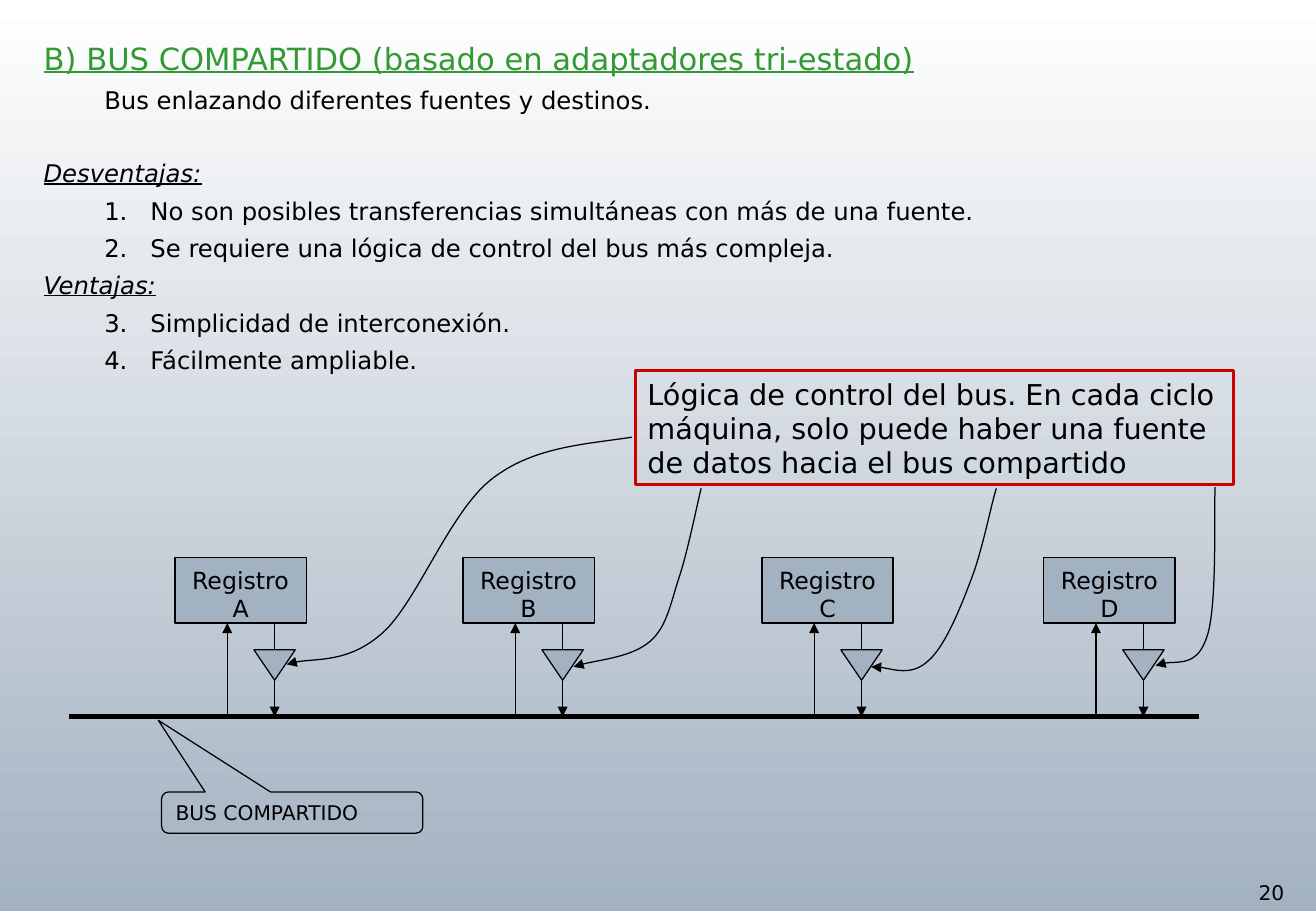
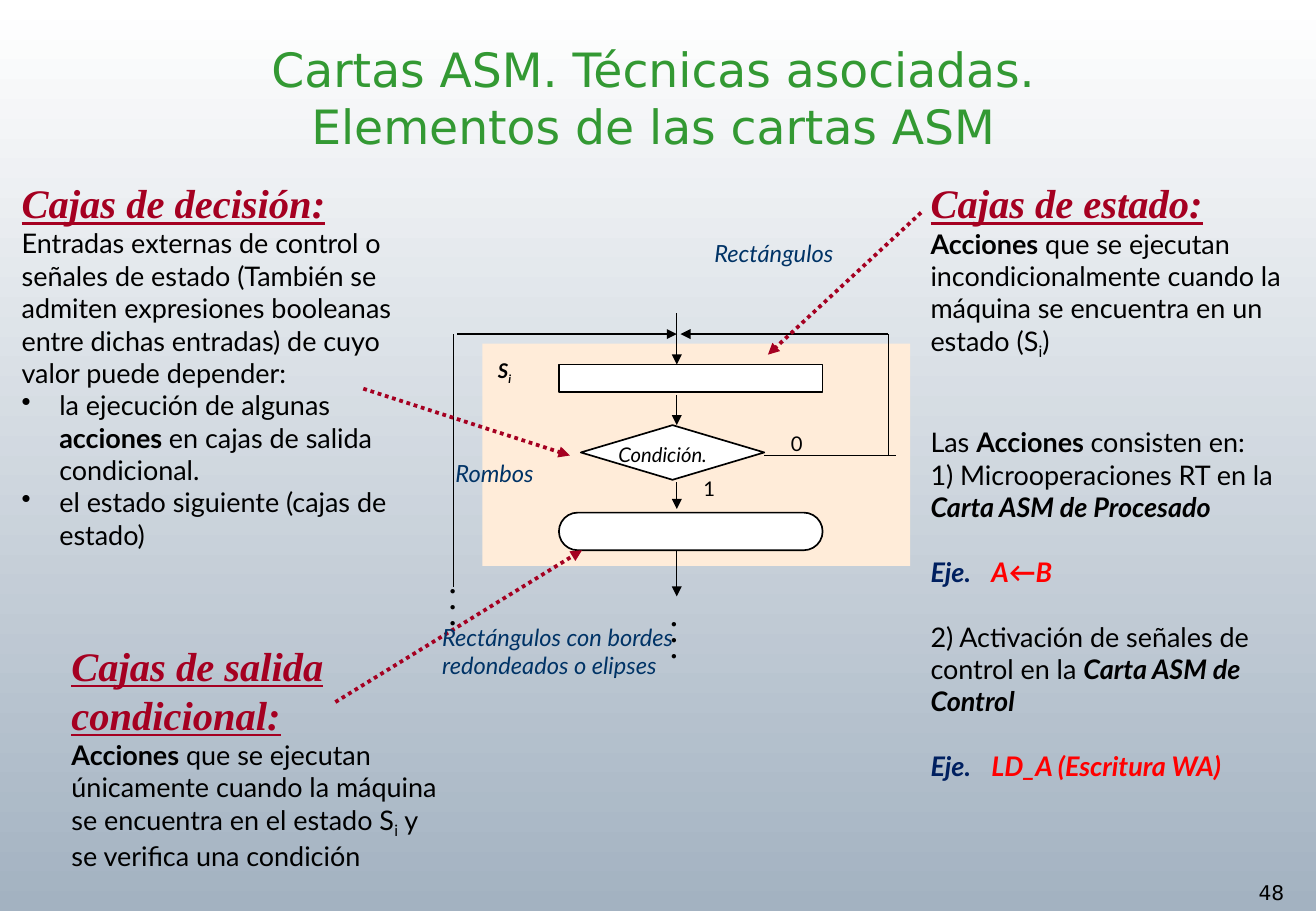
from dataclasses import dataclass, replace

from pptx import Presentation
from pptx.dml.color import RGBColor
from pptx.enum.dml import MSO_LINE
from pptx.enum.shapes import MSO_CONNECTOR, MSO_SHAPE
from pptx.enum.text import MSO_ANCHOR, MSO_AUTO_SIZE, PP_ALIGN
from pptx.oxml.ns import qn
from pptx.util import Inches, Pt

# Grid: square cells of a tenth of an inch
COLS, ROWS = 108.3, 75


def cell(n):
    return Inches(n / 10)


@dataclass(frozen=True)
class Style:
    size: float
    font: str
    color: str
    bold: bool = False
    italic: bool = False
    underline: bool = False
    base: int = 0


class Theme:
    black, white, green, steel = "000000", "FFFFFF", "339933", "A3B2C1"
    red, wine, cream = "CC0000", "A50021", "FFECD9"
    sans, lato, serif = "DejaVu Sans", "Lato", "Times New Roman"
    thin, medium, dotted, thick = 0.75, 1, 2.25, 3

    # Sans styles
    title = Style(28, sans, green)
    heading = Style(18.1, sans, green, underline=True)
    point = Style(14.4, sans, black)
    point_head = replace(point, italic=True, underline=True)
    callout = Style(17, sans, black)
    register = Style(14, sans, black)
    small = Style(12, sans, black)

    # Chart page styles
    box_name = Style(24, serif, wine, True, True, True)
    body = Style(16, lato, black)
    strong = replace(body, bold=True)
    strong_italic = replace(strong, italic=True)
    sub = replace(body, base=-25)
    example = replace(strong_italic, color="002060")
    example_value = replace(strong_italic, color="FF0000")
    chart = Style(12, lato, black)
    condition = replace(chart, italic=True)
    state = replace(condition, bold=True)
    state_sub = replace(state, base=-25)
    note = Style(14, lato, "003366", italic=True)
    dots = Style(16, serif, black, bold=True)


class Para:
    """One paragraph: (text, style) runs and its layout; indents in cells."""

    def __init__(self, *runs, align=PP_ALIGN.LEFT, before=0, after=0, line=None,
                 left=0, first=0, bullet=None, start=None, tab=None):
        self.runs, self.align, self.line = runs, align, line
        self.before, self.after = before, after
        self.left, self.first = left, first
        self.bullet, self.start, self.tab = bullet, start, tab


class Deck:
    def __init__(self):
        self.prs = Presentation()
        self.prs.slide_width, self.prs.slide_height = cell(COLS), cell(ROWS)
        fill = self.prs.slide_master.background.fill
        fill.gradient()
        fill.gradient_angle = 270
        for stop, color in zip(fill.gradient_stops, (Theme.white, Theme.steel)):
            stop.color.rgb = RGBColor.from_string(color)

    def slide(self, at, paras, number, anchor):
        self.s = self.prs.slides.add_slide(self.prs.slide_layouts[5])
        sp = self.s.shapes.title
        sp.left, sp.top, sp.width, sp.height = map(cell, at)
        self.fill_text(sp, paras, anchor)
        self.text((102.6, 72, 5.7, 3), Para((number, Theme.small)))

    def fill_text(self, sp, paras, anchor=MSO_ANCHOR.TOP):
        tf = sp.text_frame
        tf.word_wrap, tf.auto_size = True, MSO_AUTO_SIZE.NONE
        tf.vertical_anchor = anchor
        for i, para in enumerate(paras):
            p = tf.add_paragraph() if i else tf.paragraphs[0]
            self.layout(p, para)
            for text, style in para.runs:
                r = p.add_run()
                r.text = text
                self.style(r, style)

    def layout(self, p, para):
        pPr = p._p.get_or_add_pPr()
        pPr.set("marL", str(cell(para.left)))
        pPr.set("indent", str(cell(para.first)))
        if para.bullet:
            bu = pPr.makeelement(qn("a:buChar"), {"char": para.bullet})
            pPr.append(bu)
        elif para.start:
            pPr.append(pPr.makeelement(qn("a:buAutoNum"), {
                "type": "arabicPeriod", "startAt": str(para.start)}))
        if para.tab:
            tabs = pPr.makeelement(qn("a:tabLst"), {})
            tabs.append(tabs.makeelement(
                qn("a:tab"), {"pos": str(cell(para.tab)), "algn": "l"}))
            pPr.append(tabs)
        p.alignment = para.align
        p.space_before, p.space_after = Pt(para.before), Pt(para.after)
        if para.line:
            p.line_spacing = para.line

    def style(self, r, style):
        f = r.font
        f.name, f.size = style.font, Pt(style.size)
        f.bold, f.italic, f.underline = style.bold, style.italic, style.underline
        f.color.rgb = RGBColor.from_string(style.color)
        if style.base:
            r._r.get_or_add_rPr().set("baseline", str(style.base * 1000))

    def text(self, at, *paras):
        self.fill_text(self.s.shapes.add_textbox(*map(cell, at)), paras)

    def shape(self, kind, at, fill=None, line=None, width=Theme.thin, paras=(),
              adj=()):
        sp = self.s.shapes.add_shape(kind, *map(cell, at))
        for i, value in enumerate(adj):
            sp.adjustments[i] = value
        self.paint(sp, fill, line, width)
        if paras:
            self.fill_text(sp, paras)
        return sp

    def paint(self, sp, fill, line, width):
        sp.shadow.inherit = False
        if fill:
            sp.fill.solid()
            sp.fill.fore_color.rgb = RGBColor.from_string(fill)
        else:
            sp.fill.background()
        if line:
            self.stroke(sp.line, line, width)
        else:
            sp.line.fill.background()

    def stroke(self, line, color, width, dash=None, arrow=False):
        line.color.rgb = RGBColor.from_string(color)
        line.width = Pt(width)
        if dash:
            line.dash_style = dash
        if arrow:
            ln = line._get_or_add_ln()
            ln.append(ln.makeelement(qn("a:tailEnd"), {"type": "triangle"}))

    def line(self, start, end, arrow=False, color=Theme.black,
             width=Theme.thin, dash=None):
        c = self.s.shapes.add_connector(
            MSO_CONNECTOR.STRAIGHT, *map(cell, start + end))
        self.stroke(c.line, color, width, dash, arrow)
        spPr = c._element.spPr
        spPr.append(spPr.makeelement(qn("a:effectLst"), {}))

    def curve(self, *points):
        """Bezier arrow: a start point, then three points per segment."""
        start, *rest = [(cell(x), cell(y)) for x, y in points]
        fb = self.s.shapes.build_freeform(*start)
        fb.add_line_segments(rest, close=False)
        sp = fb.convert_to_shape()
        steps = list(sp._element.iter(qn("a:lnTo")))
        for a, b, c in zip(steps[::3], steps[1::3], steps[2::3]):
            bez = a.makeelement(qn("a:cubicBezTo"), {})
            a.addprevious(bez)
            for step in (a, b, c):
                bez.append(step[0])
                step.getparent().remove(step)
        self.paint(sp, None, Theme.black, Theme.thin)
        self.stroke(sp.line, Theme.black, Theme.thin, arrow=True)


def shared_bus(d):
    t = Theme
    d.slide((2.6, 2.8, 98.9, 4),
            [Para(("B) BUS COMPARTIDO (basado en adaptadores tri-estado)", t.heading))],
            "20", MSO_ANCHOR.TOP)

    # Pros and cons
    gap = dict(before=2.4, after=2.4)
    item = dict(left=8.8, first=-3.8, **gap)
    d.text((2.6, 6.5, 98.9, 25),
           Para(("Bus enlazando diferentes fuentes y destinos.", t.point),
                left=5, after=2.4),
           Para(("Desventajas:", t.point_head), before=24, after=2.4),
           Para(("No son posibles transferencias simultáneas con más de una fuente.",
                 t.point), start=1, **item),
           Para(("Se requiere una lógica de control del bus más compleja.", t.point),
                start=1, **item),
           Para(("Ventajas:", t.point_head), **gap),
           Para(("Simplicidad de interconexión.", t.point), start=3, **item),
           Para(("Fácilmente ampliable.", t.point), start=3, **item))

    # Control logic and bus
    d.shape(MSO_SHAPE.RECTANGLE, (52.3, 30.5, 49.2, 9.4), line=t.red, width=1.5,
            paras=[Para(("Lógica de control del bus. En cada ciclo máquina, solo puede "
                         "haber una fuente de datos hacia el bus compartido", t.callout))])
    bus = 59
    d.line((98.7, bus), (5.7, bus), width=t.thick)

    # Registers with their tri-state buffers
    for name, x in zip("ABCD", (14.4, 38.1, 62.7, 85.9)):
        sp = d.shape(MSO_SHAPE.RECTANGLE, (x, 45.9, 10.8, 5.4), t.steel, t.black,
                     paras=[Para((word, t.register), align=PP_ALIGN.CENTER)
                            for word in ("Registro", name)])
        sp.text_frame.margin_top = cell(0.7)
        d.line((x + 8.2, 51.2), (x + 8.2, bus), arrow=True)
        d.line((x + 4.3, 58.8), (x + 4.3, 51.3), arrow=True)
        buffer = d.shape(MSO_SHAPE.ISOSCELES_TRIANGLE, (x + 6.5, 53.5, 3.4, 2.5),
                         t.steel, t.black)
        buffer.rotation = 180

    # Control signals
    d.curve((52, 36), (48, 36.6), (43.8, 36.8), (40.4, 39.5), (37, 42.2),
            (34.3, 49.6), (31.5, 52.1), (28.7, 54.6), (25.2, 54.1), (23.6, 54.7))
    d.curve((57.7, 40.2), (57.4, 41.4), (56.6, 45.4), (55.9, 47.5), (55.2, 49.6),
            (54.9, 51.6), (53.5, 52.8), (52, 54.1), (48.5, 54.4), (47.2, 54.9))
    d.curve((82, 40.2), (81.6, 41.4), (80.9, 45.1), (80, 47.5), (79.1, 49.9),
            (77.8, 53.2), (76.4, 54.4), (75, 55.7), (72.6, 54.8), (71.7, 54.9))
    d.curve((100, 40.1), (99.9, 42.2), (100.2, 50.1), (99.3, 52.5), (98.5, 54.9),
            (96, 54.3), (95.1, 54.8))

    d.shape(MSO_SHAPE.ROUNDED_RECTANGULAR_CALLOUT, (13.3, 65.2, 21.5, 3.4),
            line=t.black, adj=(-0.513, -2.236, 0.167),
            paras=[Para(("BUS COMPARTIDO", t.small))])


def asm_charts(d):
    t = Theme
    d.slide((2.5, 2.5, 102.5, 11),
            [Para((line, t.title), align=PP_ALIGN.CENTER) for line in
             ("Cartas ASM. Técnicas asociadas.", "Elementos de las cartas ASM")],
            "48", MSO_ANCHOR.MIDDLE)

    # Chart boxes
    boxes = dict(fill=t.white, line=t.black, width=t.medium)
    d.shape(MSO_SHAPE.RECTANGLE, (39.7, 28.3, 35.2, 18.3), t.cream)
    d.shape(MSO_SHAPE.FLOWCHART_DECISION, (47.8, 35, 15.1, 4.5), **boxes)
    d.shape(MSO_SHAPE.FLOWCHART_PROCESS, (46, 30, 21.7, 2.3), **boxes)
    d.shape(MSO_SHAPE.ROUNDED_RECTANGLE, (46, 42.2, 21.7, 3.1), adj=(0.5,), **boxes)

    # Flow lines
    axis, loop, left, right = 55.7, 27.5, 37.3, 73.1
    for top, bottom in ((25.8, 30), (32.5, 35), (39.7, 41.9), (45.3, 49.1)):
        d.line((axis, top), (axis, bottom), arrow=True)
    d.line((62.9, 37.5), (73.7, 37.5))
    d.line((right, 37.5), (right, loop))
    d.line((right, loop), (56, loop), arrow=True)
    d.line((left, 48.3), (left, loop))
    d.line((37.6, loop), (axis, loop), arrow=True)

    # Chart labels
    d.text((49.9, 35.9, 10.5, 3), Para(("Condición.", t.condition)))
    d.text((64.1, 35, 3.2, 3), Para(("0", t.chart)))
    d.text((56.9, 38.7, 3.2, 3), Para(("1", t.chart)))
    d.text((40, 29, 3.7, 3), Para(("S", t.state), ("i", t.state_sub)))
    for x, y in ((36, 47.3), (54.2, 50)):
        d.text((x, y, 2.8, 5), *[Para((".", t.dots), line=0.5)] * 3)

    # Explanations
    blank = 19.2
    d.text((75.6, 14.2, 32.7, 50.8),
           Para(("Cajas de estado:", t.box_name)),
           Para(("Acciones", t.strong),
                (" que se ejecutan incondicionalmente cuando la máquina se encuentra "
                 "en un estado (S", t.body), ("i", t.sub), (")", t.body)),
           Para(("Las ", t.body), ("Acciones ", t.strong), ("consisten en:", t.body),
                before=2 * blank),
           Para(("1) Microoperaciones RT en la ", t.body),
                ("Carta ASM de Procesado", t.strong_italic)),
           Para(("Eje.\t", t.example), ("A←B", t.example_value),
                before=blank, tab=5.3),
           Para(("2) Activación de señales de control en la ", t.body),
                ("Carta ASM de Control", t.strong_italic), before=blank),
           Para(("Eje.\t", t.example), ("LD_A (Escritura WA)", t.example_value),
                before=blank, tab=4.8))
    d.text((4.9, 52.3, 32.7, 19.9),
           Para(("Cajas de salida condicional:", t.box_name)),
           Para(("Acciones", t.strong),
                (" que se ejecutan únicamente cuando la máquina se encuentra en el "
                 "estado S", t.body), ("i", t.sub),
                (" y se verifica una condición", t.body)))
    item = dict(left=3.1, first=-3.1, bullet="•")
    d.text((0.8, 14.2, 33.1, 32),
           Para(("Cajas de decisión:", t.box_name)),
           Para(("Entradas externas de control o señales de estado (También se admiten "
                 "expresiones booleanas entre dichas entradas) de cuyo valor puede "
                 "depender:", t.body)),
           Para(("la ejecución de algunas ", t.body), ("acciones ", t.strong),
                ("en cajas de salida condicional.", t.body), **item),
           Para(("el estado siguiente (cajas de estado)", t.body), **item))

    # Pointers and shape names
    for start, end in (((75.8, 17.5), (63.2, 29.2)), ((27.6, 57.8), (47.9, 45.3)),
                       ((29.9, 32), (46.9, 37.5))):
        d.line(start, end, True, t.wine, t.dotted, MSO_LINE.ROUND_DOT)
    for at, name in (((57.8, 19.2, 13.5, 3.3), "Rectángulos"),
                     ((35.4, 50.8, 23.4, 5.7),
                      "Rectángulos con bordes redondeados o elipses"),
                     ((36.5, 37.3, 9.7, 3.3), "Rombos")):
        d.text(at, Para((name, t.note)))


def main():
    deck = Deck()
    shared_bus(deck)
    asm_charts(deck)
    deck.prs.save("out.pptx")


if __name__ == "__main__":
    main()
